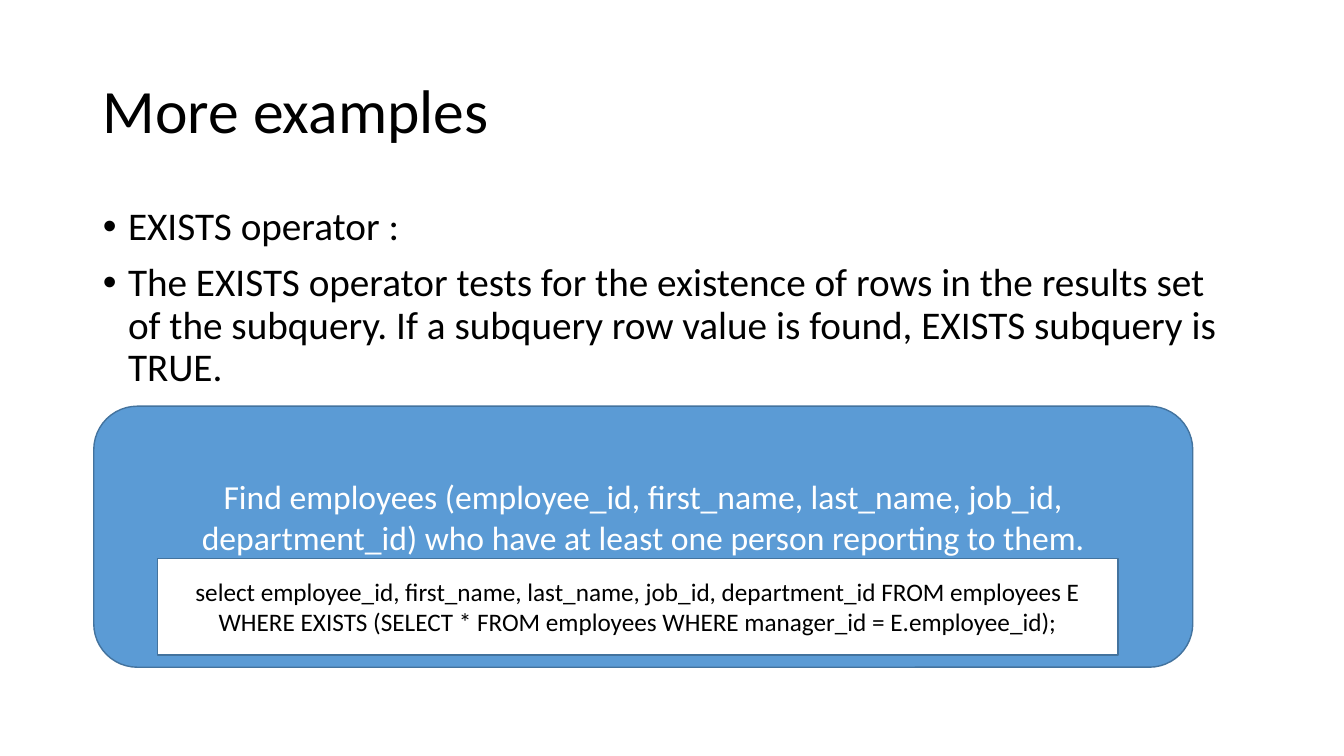
from dataclasses import dataclass

from pptx import Presentation
from pptx.dml.color import RGBColor
from pptx.enum.shapes import MSO_SHAPE as Preset
from pptx.enum.text import MSO_ANCHOR as Anchor
from pptx.enum.text import MSO_AUTO_SIZE as AutoSize
from pptx.enum.text import PP_ALIGN as Align
from pptx.shapes.autoshape import Shape
from pptx.slide import Slide
from pptx.text.text import Font
from pptx.util import Inches, Pt

WIDTH, HEIGHT = Inches(13.33), Inches(7.5)
FONT = "Calibri"
BLACK, WHITE, BLUE, OUTLINE = "000000", "FFFFFF", "5B9BD5", "43739E"


@dataclass(frozen=True)
class Area:
    """Left, top, width and height in percent of the slide."""

    left: float
    top: float
    width: float
    height: float


@dataclass(frozen=True)
class Panel:
    preset: Preset
    area: Area
    fill: str
    text: str
    size: int
    text_color: str
    bottom_inset: float


TITLE_AREA = Area(6.9, 5.33, 86.27, 19.33)
BODY_AREA = Area(6.9, 26.67, 86.27, 63.47)
BULLETS = [
    "EXISTS operator :",
    "The EXISTS operator tests for the existence of rows in the results set "
    "of the subquery. If a subquery row value is found, EXISTS subquery is TRUE.",
]
PANELS = [
    Panel(
        Preset.ROUNDED_RECTANGLE,
        Area(6.98, 53.73, 81.77, 34.53),
        BLUE,
        "Find employees (employee_id, first_name, last_name, job_id, "
        "department_id) who have at least one person reporting to them.",
        24,
        WHITE,
        0.45,
    ),
    Panel(
        Preset.RECTANGLE,
        Area(11.7, 73.87, 71.49, 12.8),
        WHITE,
        "select employee_id, first_name, last_name, job_id, department_id "
        "FROM employees E WHERE EXISTS (SELECT * FROM employees "
        "WHERE manager_id = E.employee_id);",
        18,
        BLACK,
        0.05,
    ),
]


def color(value: str) -> RGBColor:
    return RGBColor.from_string(value)


def place(box: Shape, area: Area) -> None:
    box.left = int(WIDTH * area.left / 100)
    box.top = int(HEIGHT * area.top / 100)
    box.width = int(WIDTH * area.width / 100)
    box.height = int(HEIGHT * area.height / 100)


def style(font: Font, size: int, text_color: str) -> None:
    font.name = FONT
    font.size = Pt(size)
    font.color.rgb = color(text_color)


def fill_title(box: Shape, text: str) -> None:
    place(box, TITLE_AREA)
    frame = box.text_frame
    frame.text = text
    frame.auto_size = AutoSize.NONE
    frame.vertical_anchor = Anchor.MIDDLE
    para = frame.paragraphs[0]
    para.alignment = Align.LEFT
    para.line_spacing = 0.9
    style(para.font, 44, BLACK)


def fill_body(box: Shape, bullets: list[str]) -> None:
    place(box, BODY_AREA)
    frame = box.text_frame
    frame.text = "\n".join(bullets)
    frame.auto_size = AutoSize.NONE
    for para in frame.paragraphs:
        para.line_spacing = 0.9
        para.space_before = Pt(10)
        style(para.font, 28, BLACK)
        properties = para._p.get_or_add_pPr()
        properties.set("marL", str(Inches(0.25)))
        properties.set("indent", str(Inches(-0.25)))


def draw_panel(page: Slide, panel: Panel) -> None:
    box = page.shapes.add_shape(panel.preset, 0, 0, 0, 0)
    place(box, panel.area)
    box.shadow.inherit = False
    box.fill.solid()
    box.fill.fore_color.rgb = color(panel.fill)
    box.line.color.rgb = color(OUTLINE)
    box.line.width = Pt(1)
    frame = box.text_frame
    frame.text = panel.text
    frame.word_wrap = True
    frame.vertical_anchor = Anchor.MIDDLE
    frame.margin_bottom = Inches(panel.bottom_inset)
    para = frame.paragraphs[0]
    para.alignment = Align.CENTER
    style(para.font, panel.size, panel.text_color)


def main() -> None:
    deck = Presentation()
    deck.slide_width, deck.slide_height = WIDTH, HEIGHT
    page = deck.slides.add_slide(deck.slide_layouts[1])
    fill_title(page.shapes.title, "More examples")
    fill_body(page.placeholders[1], BULLETS)
    for panel in PANELS:
        draw_panel(page, panel)
    deck.save("out.pptx")


if __name__ == "__main__":
    main()
